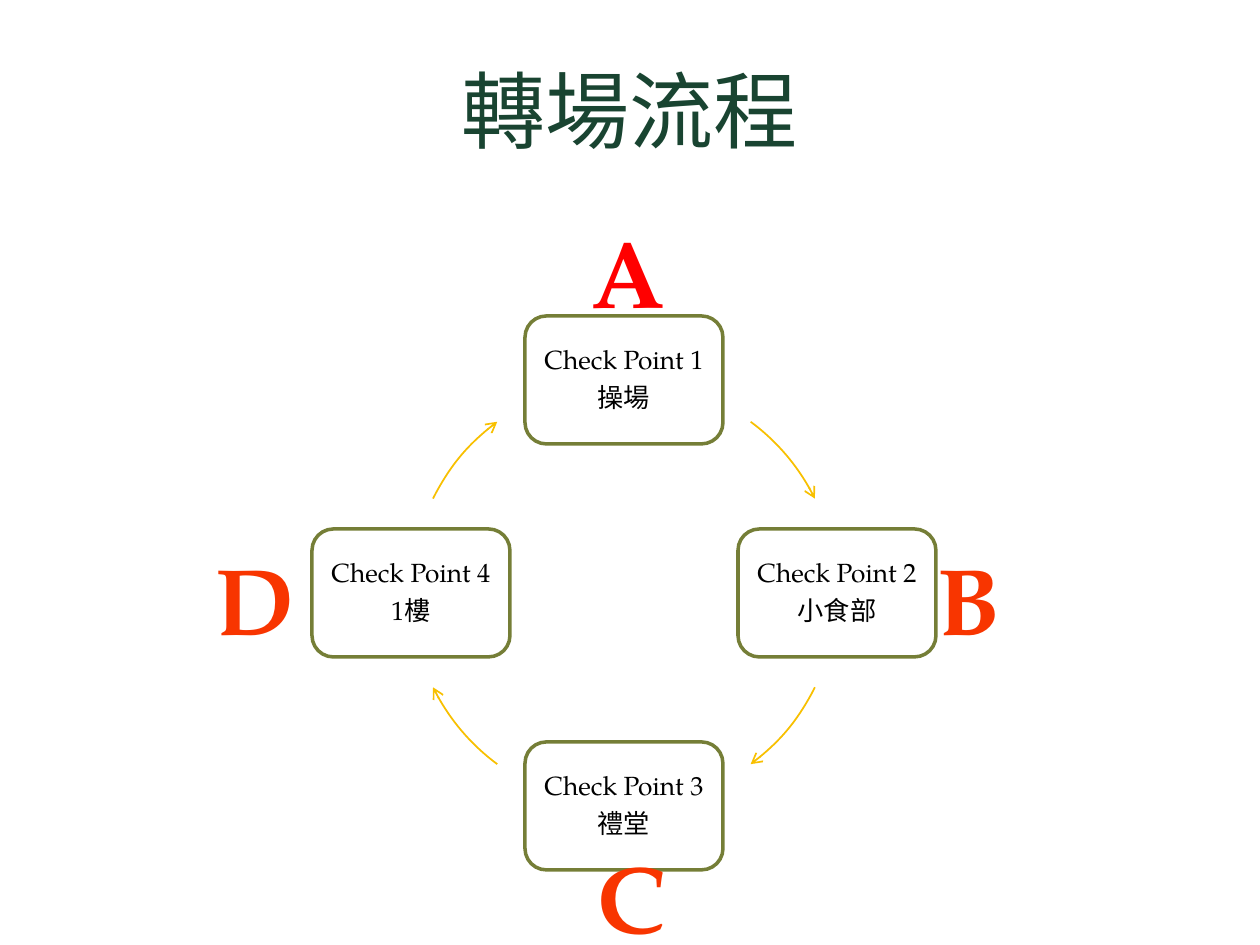
"""Build the venue rotation slide: four check points in a clockwise cycle."""
from lxml.etree import SubElement
from pptx import Presentation
from pptx.dml.color import RGBColor
from pptx.enum.shapes import MSO_SHAPE
from pptx.enum.text import MSO_ANCHOR, PP_ALIGN
from pptx.oxml import parse_xml
from pptx.oxml.ns import nsdecls, qn
from pptx.util import Pt

TITLE = "轉場流程"
CHECK_POINTS = [
    ("Check Point 1", "操場"),
    ("Check Point 2", "小食部"),
    ("Check Point 3", "禮堂"),
    ("Check Point 4", "1樓"),
]
STATIONS = [
    ("A", (578, 207, 100, 127), "FF0000"),
    ("B", (924, 534, 90, 127), "F83500"),
    ("C", (585, 832, 94, 127), "F83500"),
    ("D", (203, 534, 104, 127), "F83500"),
]
DIRECTIONS = [(0, -1), (1, 0), (0, 1), (-1, 0)]
ARC_STARTS = [306.5, 26.3, 126.5, 206.3]
ARC_SWEEP = 27.2
CENTER_X, CENTER_Y, RADIUS = 624, 593, 213
BOX_W, BOX_H = 198, 128
FONT = "TeX Gyre Pagella"
SCALE = 914400 // 126


def px(*lengths):
    return [round(length * SCALE) for length in lengths]


def color(value):
    return RGBColor.from_string(value)


def write(shape, lines, size, ink, bold=False, wrap=True, inset=None,
          spacing=None, after=None, outline=None):
    frame = shape.text_frame
    frame.word_wrap = wrap
    frame.vertical_anchor = MSO_ANCHOR.MIDDLE
    if inset is not None:
        frame.margin_left = frame.margin_right = px(inset)[0]
        frame.margin_top = frame.margin_bottom = px(inset)[0]
    for index, line in enumerate(lines):
        paragraph = frame.paragraphs[0] if index == 0 else frame.add_paragraph()
        paragraph.alignment = PP_ALIGN.CENTER
        paragraph.line_spacing = spacing
        paragraph.space_after = after
        run = paragraph.add_run()
        run.text = line
        run.font.size, run.font.bold, run.font.name = Pt(size), bold, FONT
        run.font.color.rgb = color(ink)
        if outline:
            run.font._element.insert(0, parse_xml(
                f'<a:ln {nsdecls("a")} w="18000"><a:solidFill>'
                f'<a:srgbClr val="{outline}"/></a:solidFill></a:ln>'))


def add_outline(kind, bounds, ink, width):
    shape = slide.shapes.add_shape(kind, *px(*bounds))
    shape.shadow.inherit = False
    shape.line.color.rgb = color(ink)
    shape.line.width = Pt(width)
    return shape


presentation = Presentation()
presentation.slide_width, presentation.slide_height = px(1260, 945)
slide = presentation.slides.add_slide(presentation.slide_layouts[6])

title = slide.shapes.add_textbox(*px(106, 11, 1048, 195))
write(title, [TITLE], 48, "194431")

for lines, (dx, dy), start in zip(CHECK_POINTS, DIRECTIONS, ARC_STARTS):
    left = CENTER_X + dx * RADIUS - BOX_W / 2
    top = CENTER_Y + dy * RADIUS - BOX_H / 2
    check_point = add_outline(
        MSO_SHAPE.ROUNDED_RECTANGLE, (left, top, BOX_W, BOX_H), "757E37", 2)
    check_point.fill.solid()
    check_point.fill.fore_color.rgb = color("FFFFFF")
    write(check_point, lines, 15, "000000", inset=8, spacing=0.9, after=Pt(5.25))

    ring = (CENTER_X - RADIUS, CENTER_Y - RADIUS, 2 * RADIUS, 2 * RADIUS)
    arrow = add_outline(MSO_SHAPE.ARC, ring, "F8C000", 1)
    arrow.fill.background()
    arrow.adjustments[0] = start * 0.6
    arrow.adjustments[1] = (start + ARC_SWEEP) * 0.6
    SubElement(arrow.line._get_or_add_ln(), qn("a:tailEnd"), type="arrow")

for letter, bounds, ink in STATIONS:
    station = slide.shapes.add_textbox(*px(*bounds))
    write(station, [letter], 54, ink, bold=True, wrap=False, outline="F88600")

presentation.save("out.pptx")
